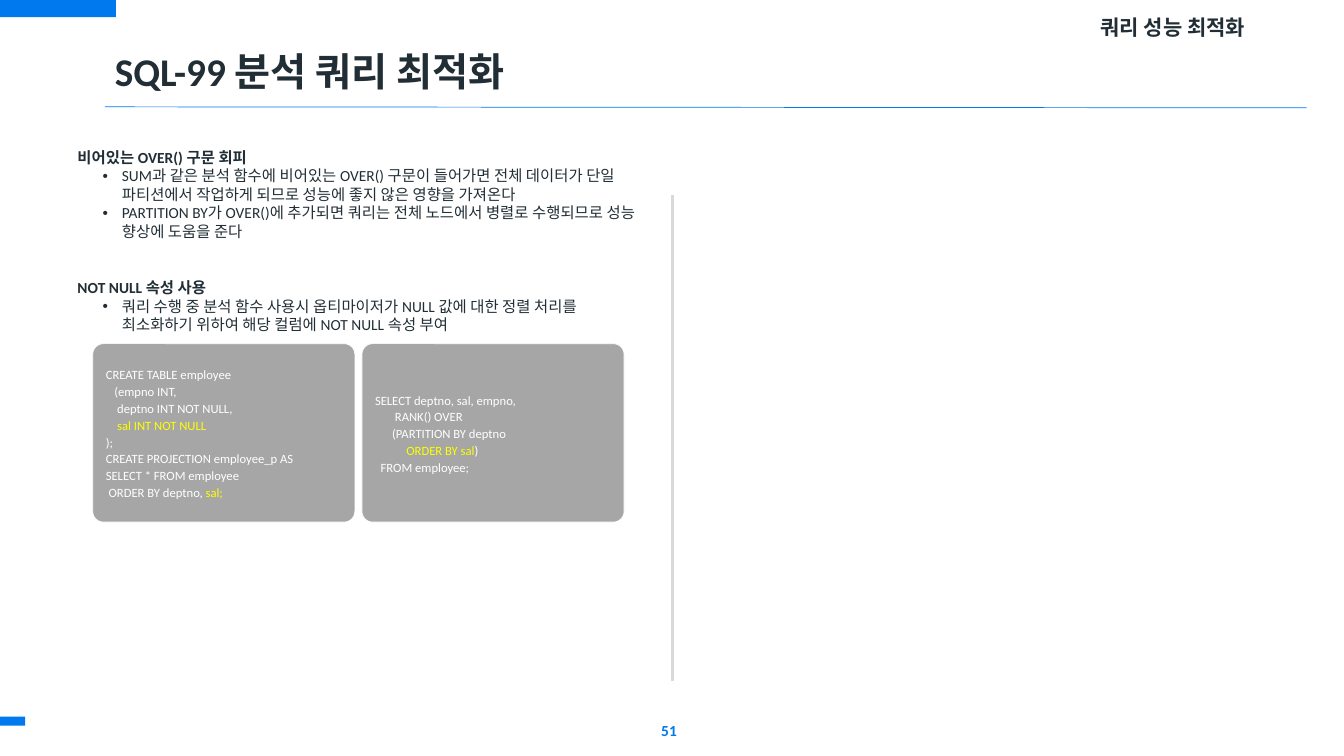
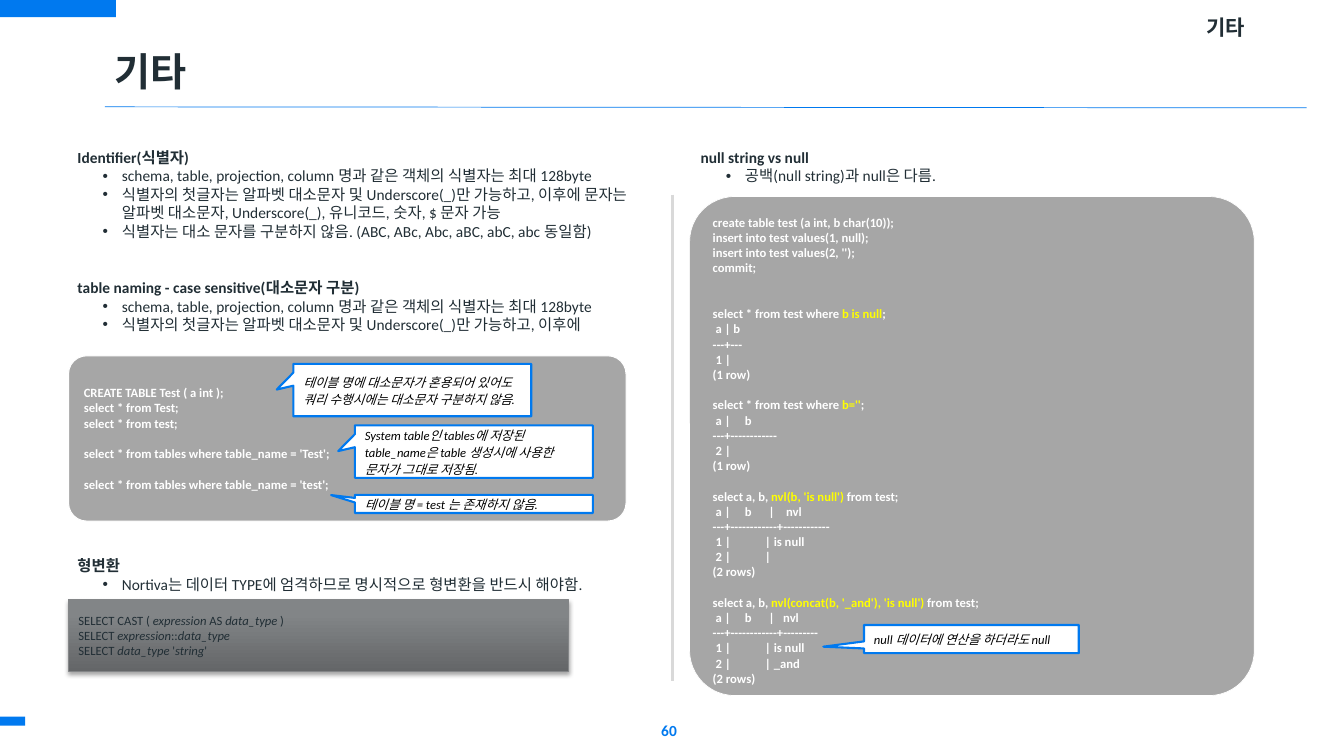
from lxml import etree
from pptx import Presentation
from pptx import util as u
from pptx.dml import color
from pptx.enum import shapes, text
from pptx.oxml import ns

COLORS = {"blue": "0079EF", "ink": "212E35", "gray": "A6A6A6", "rule": "D9D9D9",
          "white": "FFFFFF", "black": "000000", "yellow": "FFFF00", "edge": "848688"}
GRADIENT = ((0, "646668"), (80, "828587"), (100, "838588"))
RECTANGLE = shapes.MSO_SHAPE.RECTANGLE
ROUNDED = shapes.MSO_SHAPE.ROUNDED_RECTANGLE
CALLOUT = shapes.MSO_SHAPE.RECTANGULAR_CALLOUT
MIDDLE = text.MSO_ANCHOR.MIDDLE
CODE_LINE = 11  # points taken by one line of 9 pt code

TABLE_CODE = """CREATE TABLE employee
   (empno INT,
    deptno INT NOT NULL,
    ~sal INT NOT NULL~
);
CREATE PROJECTION employee_p AS
SELECT * FROM employee
 ORDER BY deptno, ~sal;~"""

RANK_CODE = """SELECT deptno, sal, empno,
       RANK() OVER
      (PARTITION BY deptno
           ~ORDER BY sal~)
  FROM employee;"""

NAMING_CODE = """CREATE TABLE Test ( a int );
select * from Test;
select * from test;

select * from tables where table_name = 'Test';

select * from tables where table_name = 'test';"""

NULL_CODE = """create table test (a int, b char(10));
insert into test values(1, null);
insert into test values(2, '');
commit;


select * from test where ~b is null~;
 a | b
---+---
 1 |
(1 row)

select * from test where ~b=''~;
 a |     b
---+------------
 2 |
(1 row)

select a, b, ~nvl(b, 'is null')~ from test;
 a |     b      |    nvl
---+------------+------------
 1 |            | is null
 2 |            |
(2 rows)

select a, b, ~nvl(concat(b, '_and'), 'is null')~ from test;
 a |     b      |   nvl
---+------------+---------
 1 |            | is null
 2 |            | _and
(2 rows)"""

CAST_CODE = """SELECT CAST ( ~expression~ AS ~data_type~ )
SELECT ~expression~::~data_type~
SELECT ~data_type~ '~string~'"""

NAME_LENGTH = "schema, table, projection, column 명과 같은 객체의 식별자는 최대 128byte"
FIRST_LETTER = "식별자의 첫글자는 알파벳 대소문자 및 Underscore(_)만 가능하고, 이후에"


class Deck:
    def __init__(self):
        self.presentation = Presentation()
        self.presentation.slide_width = u.Inches(13.33)
        self.presentation.slide_height = u.Inches(7.5)
        self.slide = None

    def add_slide(self, section, title, number):
        """Start a slide with the bands, rules, title, section name and page number."""
        self.slide = self.presentation.slides.add_slide(self.presentation.slide_layouts[6])
        self.shape(RECTANGLE, (0, 0, 1.15, 0.17), "blue")
        self.shape(RECTANGLE, (0, 7.11, 0.25, 0.09), "blue")
        self.line((1.04, 1.06), (12.96, 1.07), "blue", 0.5)
        self.label((1.04, 0.47, 11.28, 1.18), title, {"size": 28}, {"line_spacing": 0.9},
                   anchor=text.MSO_ANCHOR.TOP)
        self.label((6.46, 7.05, 0.4, 0.4), number, {"size": 11, "color": "blue"})
        self.label((8.51, 0.11, 3.94, 0.35), section, {"size": 15},
                   {"line_spacing": 0.9, "alignment": text.PP_ALIGN.RIGHT})
        self.line((6.67, 1.93), (6.67, 6.76), "rule", 1.5)

    def fill_paragraph(self, paragraph, words, font, emphasis=None, layout=None):
        """Put words into a paragraph; parts between tildes take the emphasis."""
        layout = {"alignment": text.PP_ALIGN.LEFT} | (layout or {})
        for name, value in layout.items():
            setattr(paragraph, name, value)
        for index, part in enumerate(words.split("~")):
            if not part:
                continue
            style = {"name": "Calibri", "color": "ink"} | font
            if index % 2:
                style |= emphasis or {}
            run = paragraph.add_run()
            run.text = part
            run.font.color.rgb = color.RGBColor.from_string(COLORS[style.pop("color")])
            style["size"] = u.Pt(style["size"])
            for name, value in style.items():
                setattr(run.font, name, value)

    def fill_lines(self, frame, words, font, emphasis=None, spacing=None):
        """Make one paragraph a line; empty lines become space before the next."""
        paragraph, gap = frame.paragraphs[0], 0
        for index, line in enumerate(words.split("\n")):
            if not line:
                gap += CODE_LINE
                continue
            if index:
                paragraph = frame.add_paragraph()
            layout = {"line_spacing": u.Pt(spacing)} if spacing else {}
            if gap:
                layout["space_before"] = u.Pt(gap)
            self.fill_paragraph(paragraph, line, font, emphasis, layout)
            gap = 0

    def text_box(self, box, anchor=text.MSO_ANCHOR.TOP):
        frame = self.slide.shapes.add_textbox(*map(u.Inches, box)).text_frame
        frame.word_wrap = True
        frame.vertical_anchor = anchor
        return frame

    def label(self, box, words, font, layout=None, anchor=MIDDLE):
        frame = self.text_box(box, anchor)
        self.fill_paragraph(frame.paragraphs[0], words, {"bold": True} | font, layout=layout)

    def line(self, start, end, line_color, width):
        connector = self.slide.shapes.add_connector(
            shapes.MSO_CONNECTOR.STRAIGHT, *map(u.Inches, start + end))
        connector.line.color.rgb = color.RGBColor.from_string(COLORS[line_color])
        connector.line.width = u.Pt(width)
        etree.SubElement(connector._element.spPr, ns.qn("a:effectLst"))

    def shape(self, kind, box, fill, outline=None, width=0.5, adjustments=()):
        shape = self.slide.shapes.add_shape(kind, *map(u.Inches, box))
        shape.shadow.inherit = False
        shape.fill.solid()
        shape.fill.fore_color.rgb = color.RGBColor.from_string(COLORS[fill])
        if outline:
            shape.line.color.rgb = color.RGBColor.from_string(COLORS[outline])
            shape.line.width = u.Pt(width)
        else:
            shape.line.fill.background()
        for index, value in enumerate(adjustments):
            shape.adjustments[index] = value
        shape.text_frame.word_wrap = True
        shape.text_frame.vertical_anchor = MIDDLE
        return shape

    def sections(self, left, groups):
        """Set (space before, heading, bullets) groups in one text column."""
        frame = self.text_box((left, 1.42, 5.81, 5.48))
        for index, (gap, heading, bullets) in enumerate(groups):
            paragraph = frame.add_paragraph() if index else frame.paragraphs[0]
            layout = {"space_before": u.Pt(gap)} if gap else {}
            self.fill_paragraph(paragraph, heading, {"size": 11, "bold": True}, layout=layout)
            for words in bullets:
                paragraph = frame.add_paragraph()
                properties = paragraph._p.get_or_add_pPr()
                properties.set("marL", str(u.Inches(0.44)))
                properties.set("indent", str(u.Inches(-0.19)))
                etree.SubElement(properties, ns.qn("a:buFont"), typeface="Arial")
                etree.SubElement(properties, ns.qn("a:buChar"), char="•")
                self.fill_paragraph(paragraph, words, {"size": 11}, layout={"level": 1})

    def code(self, box, words, corner, bold=False, spacing=None, width=0.5, anchor=MIDDLE):
        shape = self.shape(ROUNDED, box, "gray", "white", width, (corner,))
        shape.text_frame.vertical_anchor = anchor
        self.fill_lines(shape.text_frame, words, {"size": 9, "bold": bold, "color": "white"},
                        {"color": "yellow"}, spacing)

    def callout(self, box, words, tip):
        shape = self.shape(CALLOUT, box, "white", "blue", 1.5, tip)
        self.fill_lines(shape.text_frame, words,
                        {"size": 9, "italic": True, "color": "black"}, spacing=12)

    def syntax(self, box, words):
        """Draw a gradient panel with a soft shadow and italic placeholders."""
        shape = self.shape(RECTANGLE, box, "edge", "edge", 0.75)
        shape.fill.gradient()
        shape.fill.gradient_angle = 90
        properties = shape._element.spPr
        stops = properties.find(".//" + ns.qn("a:gsLst"))
        for stop in list(stops):
            stops.remove(stop)
        for position, value in GRADIENT:
            stop = etree.SubElement(stops, ns.qn("a:gs"), pos=str(position * 1000))
            etree.SubElement(stop, ns.qn("a:srgbClr"), val=value)
        shadow = etree.SubElement(
            properties.find(ns.qn("a:effectLst")), ns.qn("a:outerShdw"),
            blurRad=str(u.Pt(3.1)), dist=str(u.Pt(1.8)), dir="5400000", rotWithShape="0")
        shade = etree.SubElement(shadow, ns.qn("a:srgbClr"), val=COLORS["black"])
        etree.SubElement(shade, ns.qn("a:alpha"), val="35000")
        self.fill_lines(shape.text_frame, words, {"size": 9}, {"italic": True})


def add_query_slide(deck):
    deck.add_slide("쿼리 성능 최적화", "SQL-99 분석 쿼리 최적화", "51")
    deck.sections(0.67, [
        (0, "비어있는 OVER() 구문 회피", [
            "SUM과 같은 분석 함수에 비어있는 OVER() 구문이 들어가면 전체 데이터가 단일 "
            "파티션에서 작업하게 되므로 성능에 좋지 않은 영향을 가져온다",
            "PARTITION BY가 OVER()에 추가되면 쿼리는 전체 노드에서 병렬로 수행되므로 "
            "성능 향상에 도움을 준다"]),
        (27, "NOT NULL 속성 사용", [
            "쿼리 수행 중 분석 함수 사용시 옵티마이저가 NULL 값에 대한 정렬 처리를 "
            "최소화하기 위하여 해당 컬럼에 NOT NULL 속성 부여"])])
    for index, words in enumerate((TABLE_CODE, RANK_CODE)):
        deck.code((0.92 + index * 2.67, 3.41, 2.6, 1.77), words, 0.06, spacing=12)


def add_etc_slide(deck):
    deck.add_slide("기타", "기타", "60")
    deck.sections(0.67, [
        (0, "Identifier(식별자)", [
            NAME_LENGTH,
            FIRST_LETTER + " 문자는 알파벳 대소문자, Underscore(_), 유니코드, 숫자, $ 문자 가능",
            "식별자는 대소 문자를 구분하지 않음. (ABC, ABc, Abc, aBC, abC, abc 동일함)"]),
        (27, "table naming - case sensitive(대소문자 구분)", [NAME_LENGTH, FIRST_LETTER]),
        (159, "형변환", [
            "Nortiva는 데이터 TYPE에 엄격하므로 명시적으로 형변환을 반드시 해야함."])])
    deck.sections(6.85, [
        (0, "null string vs null", ["공백(null string)과 null은 다름."])])
    deck.code((0.68, 3.53, 5.53, 1.64), NAMING_CODE, 0.11, bold=True, width=0.75)
    deck.code((6.84, 1.95, 5.6, 4.95), NULL_CODE, 0.09, bold=True,
              anchor=text.MSO_ANCHOR.TOP)
    for box, words, tip in (
            ((2.91, 3.61, 2.36, 0.52),
             "테이블 명에 대소문자가 혼용되어 있어도 쿼리 수행시에는 대소문자 구분하지 않음.",
             (-0.57, -0.01)),
            ((3.52, 4.22, 2.36, 0.52),
             "System table인 tables에 저장된 table_name은 table 생성시에 사용한 "
             "문자가 그대로 저장됨.", (-0.57, -0.01)),
            ((3.52, 4.91, 2.36, 0.18), "테이블 명 = test 는 존재하지 않음.", (-0.6, -0.49)),
            ((8.57, 6.2, 2.13, 0.28), "null 데이터에 연산을 하더라도 null", (-0.69, 0.27))):
        deck.callout(box, words, tip)
    deck.syntax((0.68, 5.95, 4.96, 0.71), CAST_CODE)


def main():
    deck = Deck()
    add_query_slide(deck)
    add_etc_slide(deck)
    deck.presentation.save("out.pptx")


if __name__ == "__main__":
    main()
